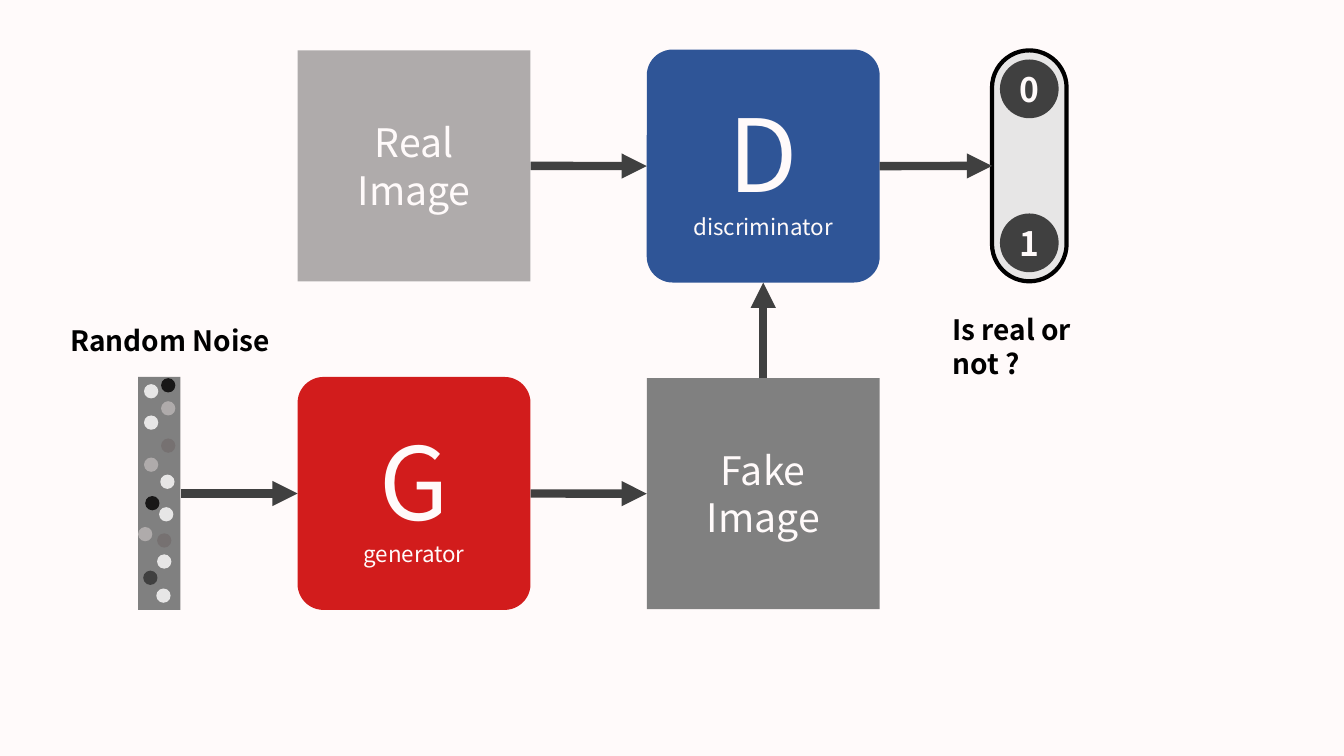
import pptx
import pptx.util
import pptx.dml.color
import pptx.enum.shapes
import pptx.enum.text
import pptx.oxml
import pptx.oxml.ns

Cm = pptx.util.Cm
Pt = pptx.util.Pt
SHAPES = pptx.enum.shapes.MSO_SHAPE
FONT = "Noto Sans CJK SC"
SNOW, BLACK, DARK, GRAY, SILVER, LIGHT = "FFFAFA", "000000", "404040", "808080", "AFABAB", "E7E6E6"
INK, TAUPE = "181717", "767171"
TOP, LEFT, BOTTOM, RIGHT = range(4)
SIDE = 5.87
COLUMNS = 7.5, 16.3
ROWS = 1.25, 9.5
NOISE_DOTS = [
    (0.15, 0.18, LIGHT), (0.58, 0.61, SILVER), (0.15, 0.97, LIGHT), (0.58, 1.55, TAUPE),
    (0.15, 2.03, SILVER), (0.56, 2.46, LIGHT), (0.18, 3, INK), (0.58, 0.03, INK),
    (0.53, 3.28, LIGHT), (0, 3.78, SILVER), (0.48, 3.94, TAUPE), (0.48, 4.47, LIGHT),
    (0.13, 4.88, DARK), (0.46, 5.33, LIGHT),
]


def paint(target, color):
    """Give a fill a solid colour from a hex string."""
    target.solid()
    target.fore_color.rgb = pptx.dml.color.RGBColor.from_string(color)


def write(shape, lines, sizes, color=SNOW, bold=False, align="CENTER", anchor="MIDDLE", wrap=True):
    """Write one paragraph per line with its own size."""
    frame = shape.text_frame
    frame.word_wrap = wrap
    frame.vertical_anchor = pptx.enum.text.MSO_ANCHOR[anchor]
    for index, (line, size) in enumerate(zip(lines, sizes)):
        para = frame.add_paragraph() if index else frame.paragraphs[0]
        para.alignment = pptx.enum.text.PP_ALIGN[align]
        span = para.add_run()
        span.text = line
        span.font.name, span.font.size, span.font.bold = FONT, Pt(size), bold
        paint(span.font.fill, color)


def add_block(page, kind, box, fill, corner=None, outline=None):
    """Add a flat preset shape in a box given in centimetres."""
    shape = page.shapes.add_shape(kind, *map(Cm, box))
    shape.shadow.inherit = False
    paint(shape.fill, fill)
    if corner is not None:
        shape.adjustments[0] = corner
    if outline:
        paint(shape.line.fill, outline)
        shape.line.width = Pt(3)
    else:
        shape.line.fill.background()
    return shape


def add_network(page, box, letter, role, fill):
    """Add a rounded network block with its letter and role."""
    block = add_block(page, SHAPES.ROUNDED_RECTANGLE, box, fill, corner=0.111)
    write(block, [letter, role], [72, 16])
    return block


def add_image_block(page, box, kind, fill):
    """Add a square that stands for an image of the given kind."""
    block = add_block(page, SHAPES.RECTANGLE, box, fill)
    write(block, [kind, "Image"], [28, 28])
    return block


def add_noise(page, box):
    """Add the noise strip with its scattered dots."""
    strip = add_block(page, SHAPES.RECTANGLE, box, GRAY)
    for across, down, color in NOISE_DOTS:
        add_block(page, SHAPES.OVAL, (box[0] + across, box[1] + down, 0.36, 0.36), color)
    return strip


def add_verdict(page, box):
    """Add the capsule with its two output digits at the ends."""
    left, top, width, height = box
    capsule = add_block(page, SHAPES.ROUNDED_RECTANGLE, box, LIGHT, corner=0.5, outline=BLACK)
    size, inset = 1.48, 0.23
    for digit, down in (("0", inset), ("1", height - inset - size)):
        circle = add_block(page, SHAPES.OVAL, (left + (width - size) / 2, top + down, size, size), DARK)
        write(circle, [digit], [24], bold=True)
    return capsule


def add_label(page, box, *lines):
    """Add a bold black caption."""
    label = page.shapes.add_textbox(*map(Cm, box))
    write(label, lines, [20] * len(lines), color=BLACK, bold=True, align="LEFT", anchor="TOP", wrap=False)


def add_arrow(page, start, start_site, end, end_site):
    """Join two shapes with a thick arrow."""
    arrow = page.shapes.add_connector(pptx.enum.shapes.MSO_CONNECTOR.STRAIGHT, 0, 0, 0, 0)
    arrow.begin_connect(start, start_site)
    arrow.end_connect(end, end_site)
    paint(arrow.line.fill, DARK)
    arrow.line.width = Pt(6)
    namespace = pptx.oxml.ns.nsdecls("a")
    arrow.line._get_or_add_ln().append(pptx.oxml.parse_xml(f'<a:tailEnd {namespace} type="triangle"/>'))
    arrow._element.spPr.append(pptx.oxml.parse_xml(f"<a:effectLst {namespace}/>"))


def build_page(page):
    """Place the network diagram on the page."""
    paint(page.background.fill, SNOW)
    (left, right), (upper, lower) = COLUMNS, ROWS
    add_label(page, (1.52, 8.03, 5.59, 1.12), "Random Noise")
    generator = add_network(page, (left, lower, SIDE, SIDE), "G", "generator", "D21C1C")
    discriminator = add_network(page, (right, upper, SIDE, SIDE), "D", "discriminator", "2F5597")
    noise = add_noise(page, (3.48, lower, 1.07, SIDE))
    fake = add_image_block(page, (right, lower + 0.03, SIDE, 5.82), "Fake", GRAY)
    real = add_image_block(page, (left, upper + 0.02, SIDE, 5.82), "Real", SILVER)
    verdict = add_verdict(page, (25, upper + 0.02, 1.88, 5.82))
    add_label(page, (23.75, 7.75, 5.31, 1.12), "Is real or", "not ?")
    for start, end in ((noise, generator), (generator, fake), (real, discriminator), (discriminator, verdict)):
        add_arrow(page, start, RIGHT, end, LEFT)
    add_arrow(page, fake, TOP, discriminator, BOTTOM)


deck = pptx.Presentation()
deck.slide_width, deck.slide_height = Cm(33.87), Cm(19.05)
build_page(deck.slides.add_slide(deck.slide_layouts[6]))
deck.save("out.pptx")
